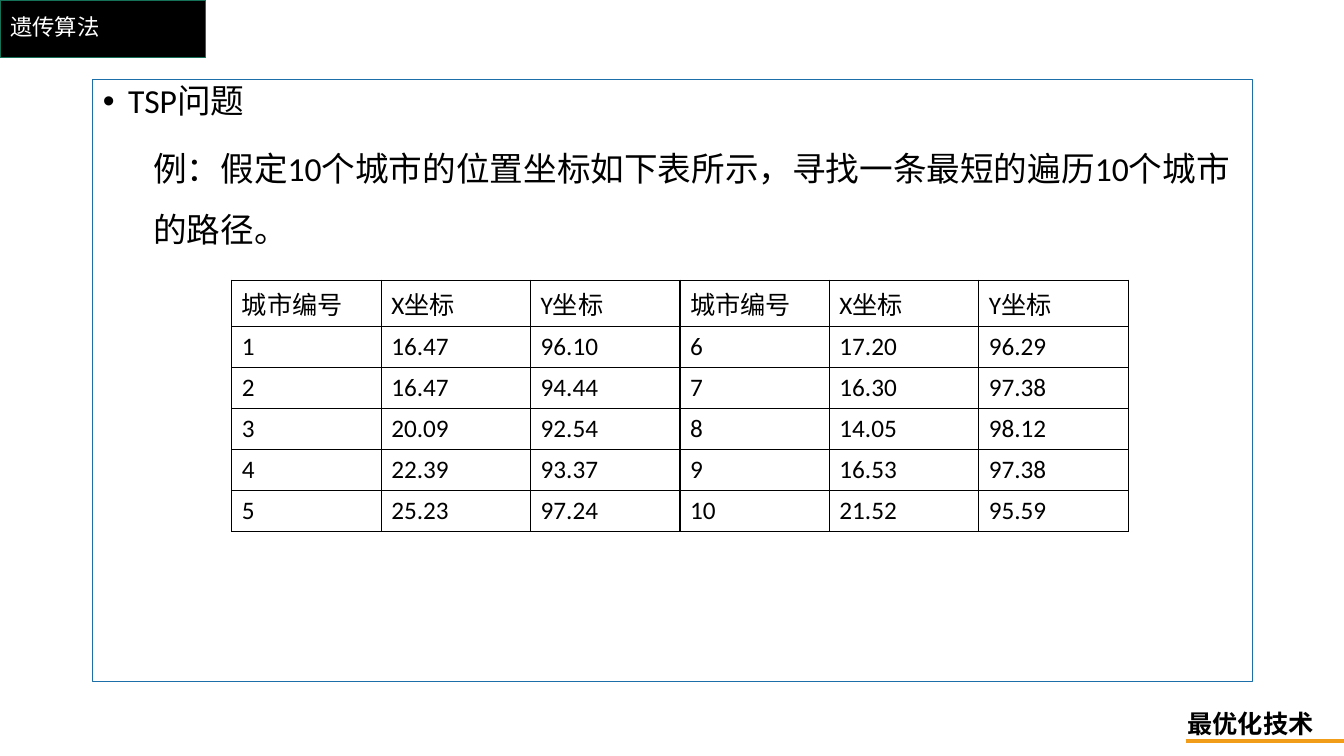
from dataclasses import dataclass

from lxml import etree
from pptx import Presentation
from pptx.dml.color import RGBColor
from pptx.enum.shapes import MSO_CONNECTOR, MSO_SHAPE
from pptx.enum.text import MSO_ANCHOR, MSO_AUTO_SIZE, PP_ALIGN
from pptx.oxml.ns import qn
from pptx.util import Inches, Pt

RECTANGLE = MSO_SHAPE.RECTANGLE
STRAIGHT = MSO_CONNECTOR.STRAIGHT
MIDDLE = MSO_ANCHOR.MIDDLE
TOP = MSO_ANCHOR.TOP
LEFT = PP_ALIGN.LEFT
NO_AUTOFIT = MSO_AUTO_SIZE.NONE

TITLE = "遗传算法"
COURSE = "最优化技术"
TOPIC = "TSP问题"
EXAMPLE = "例：假定10个城市的位置坐标如下表所示，寻找一条最短的遍历10个城市的路径。"
HEADINGS = ("城市编号", "X坐标", "Y坐标")
CITIES = [
    ("16.47", "96.10"),
    ("16.47", "94.44"),
    ("20.09", "92.54"),
    ("22.39", "93.37"),
    ("25.23", "97.24"),
    ("17.20", "96.29"),
    ("16.30", "97.38"),
    ("14.05", "98.12"),
    ("16.53", "97.38"),
    ("21.52", "95.59"),
]


@dataclass(frozen=True)
class Theme:
    font: str = "Calibri"
    black: str = "000000"
    white: str = "FFFFFF"
    green: str = "157259"
    blue: str = "1D6FA9"
    orange: str = "F19D19"
    title_size: int = 16
    body_size: int = 24
    table_size: int = 18


THEME = Theme()


def style(paragraph, size, color=THEME.black, bold=False):
    font = paragraph.font
    font.name = THEME.font
    font.size = Pt(size)
    font.bold = bold
    font.color.rgb = RGBColor.from_string(color)


def outline(line, color, width=1):
    line.color.rgb = RGBColor.from_string(color)
    line.width = Pt(width)


def place(shape, left, top, width, height):
    shape.left, shape.top = Inches(left), Inches(top)
    shape.width, shape.height = Inches(width), Inches(height)


def indent(paragraph, margin, first, bullet=None):
    properties = paragraph._p.get_or_add_pPr()
    properties.set("marL", str(Inches(margin)))
    properties.set("indent", str(Inches(first)))
    if bullet:
        etree.SubElement(properties, qn("a:buFont")).set("typeface", "Arial")
        etree.SubElement(properties, qn("a:buChar")).set("char", bullet)
    else:
        etree.SubElement(properties, qn("a:buNone"))


def border(cell):
    properties = cell._tc.get_or_add_tcPr()
    for side in ("lnL", "lnR", "lnT", "lnB"):
        edge = etree.SubElement(properties, qn(f"a:{side}"), w=str(Pt(1)))
        fill = etree.SubElement(edge, qn("a:solidFill"))
        etree.SubElement(fill, qn("a:srgbClr"), val=THEME.black)


def add_title(slide):
    title = slide.shapes.title
    place(title, 0, 0, 11.5, 0.57)
    frame = title.text_frame
    frame.auto_size = NO_AUTOFIT
    frame.vertical_anchor = MIDDLE
    frame.text = TITLE
    heading = frame.paragraphs[0]
    heading.alignment = LEFT
    heading.line_spacing = 0.9
    style(heading, THEME.title_size, THEME.white)

    banner = slide.shapes.add_shape(RECTANGLE, 0, 0, Inches(2.04), Inches(0.57))
    banner.shadow.inherit = False
    banner.fill.solid()
    banner.fill.fore_color.rgb = RGBColor.from_string(THEME.black)
    outline(banner.line, THEME.green)
    title.element.addprevious(banner.element)


def add_body(slide):
    body = slide.placeholders[1]
    place(body, 0.92, 0.79, 11.5, 5.97)
    outline(body.line, THEME.blue)
    frame = body.text_frame
    frame.auto_size = NO_AUTOFIT
    frame.vertical_anchor = TOP
    topic = frame.paragraphs[0]
    topic.text = TOPIC
    topic.line_spacing = 0.9
    topic.space_before = Pt(0)
    indent(topic, 0.25, -0.25, "•")
    example = frame.add_paragraph()
    example.text = EXAMPLE
    example.level = 1
    example.line_spacing = 1.5
    example.space_before = Pt(5)
    indent(example, 0.5, 0)
    for paragraph in (topic, example):
        style(paragraph, THEME.body_size)


def add_city_table(slide):
    numbered = [(str(n), *city) for n, city in enumerate(CITIES, 1)]
    half = len(numbered) // 2
    rows = [HEADINGS * 2]
    rows += [a + b for a, b in zip(numbered[:half], numbered[half:])]
    table = slide.shapes.add_table(
        len(rows), len(rows[0]), Inches(2.3), Inches(2.78), Inches(8.89), Inches(2.43)
    ).table
    table.first_row = False
    table.horz_banding = False
    for r, row in enumerate(rows):
        for c, value in enumerate(row):
            cell = table.cell(r, c)
            border(cell)
            cell.fill.background()
            cell.text = value
            style(cell.text_frame.paragraphs[0], THEME.table_size)


def add_footer(slide):
    course = slide.shapes.add_textbox(
        Inches(11.68), Inches(6.98), Inches(1.46), Inches(0.4)
    )
    frame = course.text_frame
    frame.word_wrap = False
    frame.text = COURSE
    style(frame.paragraphs[0], THEME.table_size, bold=True)

    rule = slide.shapes.add_connector(
        STRAIGHT, Inches(11.76), Inches(7.35), Inches(13.33), Inches(7.35)
    )
    outline(rule.line, THEME.orange, 2.5)
    etree.SubElement(rule.element.spPr, qn("a:effectLst"))


def main():
    deck = Presentation()
    deck.slide_width, deck.slide_height = Inches(13.33), Inches(7.5)
    slide = deck.slides.add_slide(deck.slide_layouts[1])
    add_title(slide)
    add_body(slide)
    add_city_table(slide)
    add_footer(slide)
    deck.save("out.pptx")


if __name__ == "__main__":
    main()
